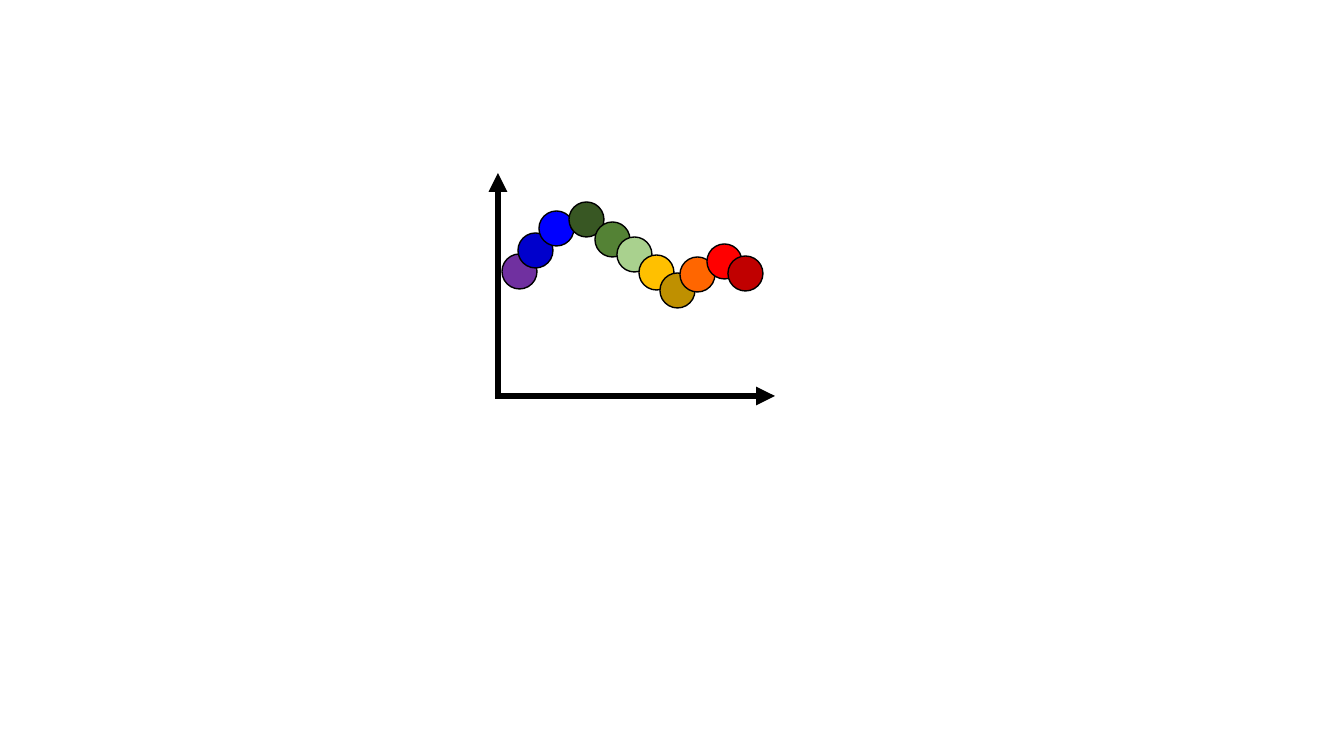
from pptx import Presentation
from pptx.dml.color import RGBColor
from pptx.enum.shapes import MSO_CONNECTOR as Connector, MSO_SHAPE as Shape
from pptx.oxml.ns import qn
from pptx.util import Pt
from lxml.etree import SubElement

EMU_PER_PIXEL = 914400 / 100.8
SLIDE_WIDTH, SLIDE_HEIGHT = 1344, 756
DOT_SIZE = 35

BLACK = RGBColor(0x00, 0x00, 0x00)
PURPLE = RGBColor(0x70, 0x30, 0xA0)
DARK_BLUE = RGBColor(0x00, 0x00, 0xCC)
BLUE = RGBColor(0x00, 0x00, 0xFF)
DARK_GREEN = RGBColor(0x38, 0x57, 0x23)
GREEN = RGBColor(0x54, 0x82, 0x35)
LIGHT_GREEN = RGBColor(0xA9, 0xD1, 0x8E)
YELLOW = RGBColor(0xFF, 0xC0, 0x00)
OCHRE = RGBColor(0xBF, 0x90, 0x00)
ORANGE = RGBColor(0xFF, 0x66, 0x00)
RED = RGBColor(0xFF, 0x00, 0x00)
DARK_RED = RGBColor(0xC0, 0x00, 0x00)


def emu(*pixels):
    return [round(pixel * EMU_PER_PIXEL) for pixel in pixels]


class Plot:
    """Holds the line styles and the slide being drawn."""

    outline = {"width": Pt(1)}
    axis_line = {"width": Pt(4.5)}

    def __init__(self, slide):
        self.slide = slide

    def style_line(self, line, formats):
        line.color.rgb = BLACK
        for name, value in formats.items():
            setattr(line, name, value)

    def dot(self, left, top, color):
        shape = self.slide.shapes.add_shape(
            Shape.OVAL, *emu(left, top, DOT_SIZE, DOT_SIZE))
        shape.shadow.inherit = False
        shape.fill.solid()
        shape.fill.fore_color.rgb = color
        self.style_line(shape.line, self.outline)

    def axis(self, start, end):
        connector = self.slide.shapes.add_connector(
            Connector.STRAIGHT, *emu(*start, *end))
        self.style_line(connector.line, self.axis_line)
        properties = connector._element.spPr
        SubElement(properties.find(qn("a:ln")), qn("a:tailEnd"), type="triangle")
        SubElement(properties, qn("a:effectLst"))


presentation = Presentation()
presentation.slide_width, presentation.slide_height = emu(SLIDE_WIDTH, SLIDE_HEIGHT)
plot = Plot(presentation.slides.add_slide(presentation.slide_layouts[6]))

# Spectrum curve: left, top and colour of each dot, back to front
SPECTRUM = [
    (502, 254, PURPLE),
    (518, 233, DARK_BLUE),
    (539, 211, BLUE),
    (569, 202, DARK_GREEN),
    (595, 222, GREEN),
    (617, 237, LIGHT_GREEN),
    (639, 255, YELLOW),
    (660, 273, OCHRE),
    (680, 257, ORANGE),
    (707, 244, RED),
    (728, 256, DARK_RED),
]
for left, top, color in SPECTRUM:
    plot.dot(left, top, color)

# Vertical and horizontal axes
plot.axis((498, 399), (498, 173))
plot.axis((495, 396), (775, 396))

presentation.save("out.pptx")
